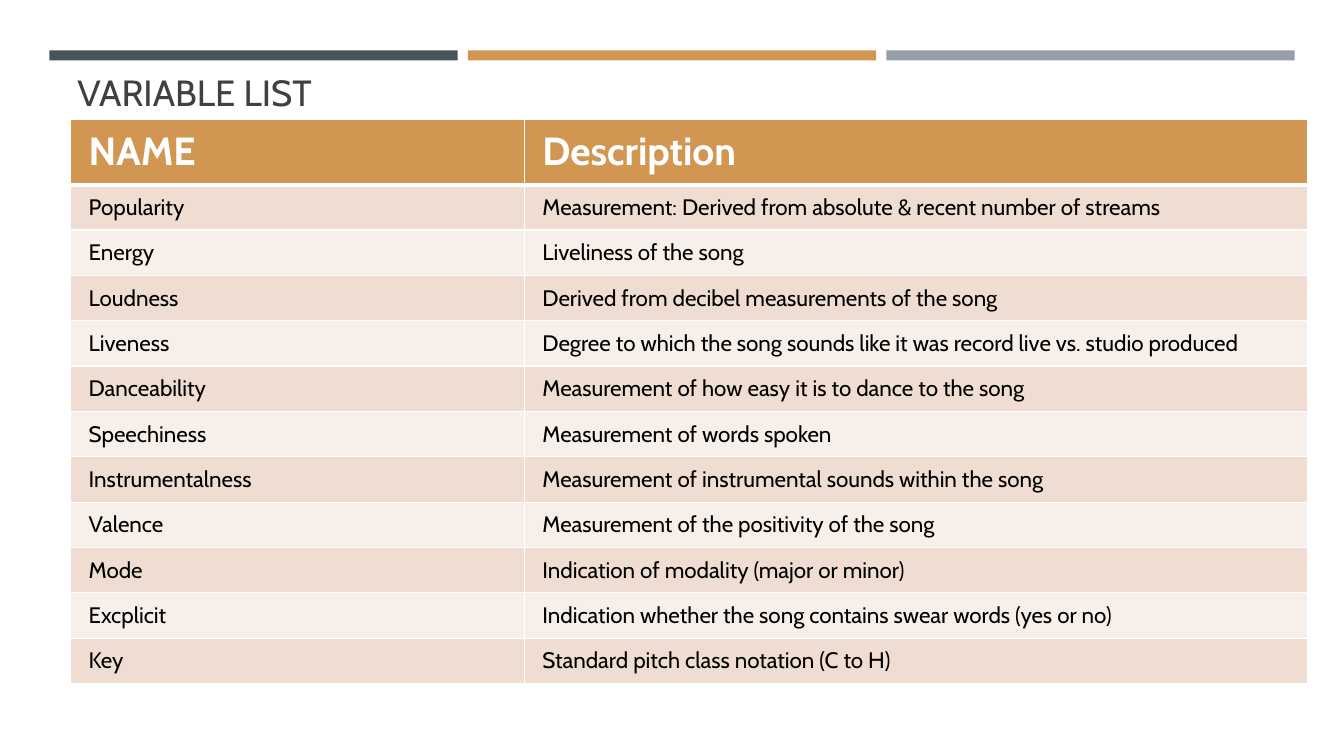
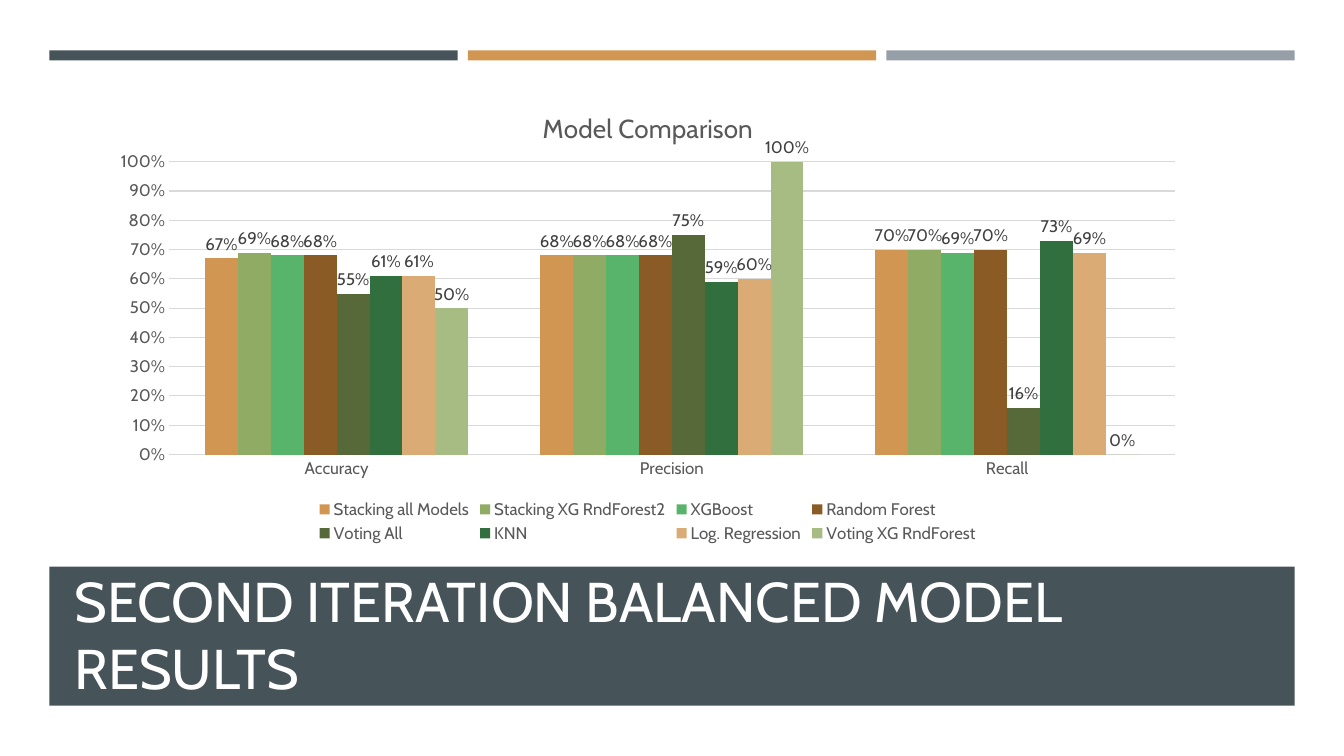
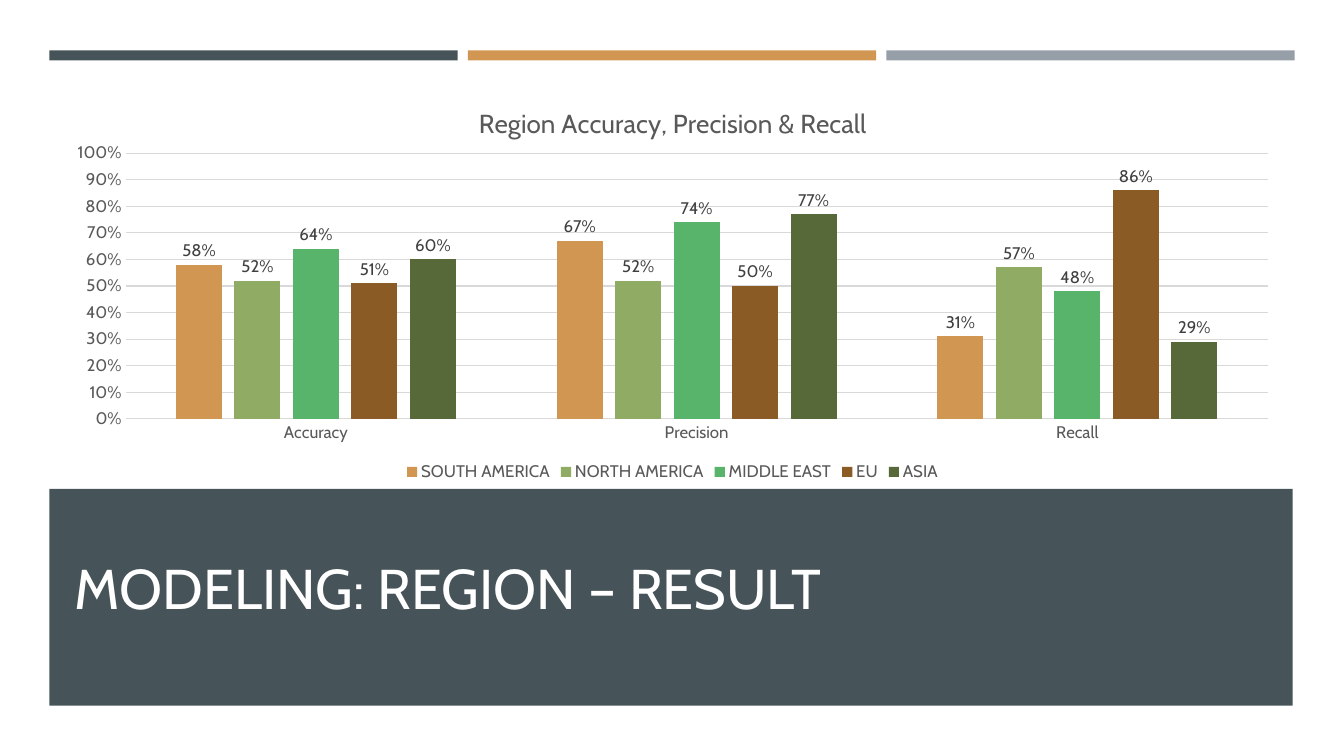
from pptx import Presentation, util as u
from pptx.chart.data import CategoryChartData
from pptx.dml.color import RGBColor
from pptx.enum import chart as ch, shapes, text as tx
from pptx.oxml import parse_xml
from pptx.oxml.ns import nsdecls, qn

Inches, Pt = u.Inches, u.Pt

# Shared look
FONT = "Cabin"
SLATE, ORANGE, SILVER, WHITE = "465359", "D19651", "969FA7", "FFFFFF"
AXIS_GRAY, LABEL_GRAY, GRID_GRAY = "595959", "404040", "D9D9D9"
ROW_FILLS = ("EEDDD0", "F7EFE9")
SERIES_COLORS = (ORANGE, "90AB63", "58B46B", "8A5B24",
                 "576939", "326F3E", "DAAB74", "A6BC82")
MARGIN = 0.49

# Content
VARIABLES = [
    ("NAME", "Description"),
    ("Popularity", "Measurement: Derived from absolute & recent number of streams"),
    ("Energy", "Liveliness of the song"),
    ("Loudness", "Derived from decibel measurements of the song"),
    ("Liveness", "Degree to which the song sounds like it was record live vs. studio produced"),
    ("Danceability", "Measurement of how easy it is to dance to the song"),
    ("Speechiness", "Measurement of words spoken"),
    ("Instrumentalness", "Measurement of instrumental sounds within the song"),
    ("Valence", "Measurement of the positivity of the song"),
    ("Mode", "Indication of modality (major or minor)"),
    ("Excplicit", "Indication whether the song contains swear words (yes or no)"),
    ("Key", "Standard pitch class notation (C to H)"),
]
METRICS = ("Accuracy", "Precision", "Recall")
# Boxes are left, top, width, height in inches; layouts are shares of the chart
RESULTS = [
    dict(
        heading="SECOND ITERATION BALANCED MODEL RESULTS",
        heading_box=(0.64, 5.76, 11.9, 1.05), anchor="MIDDLE",
        band=(MARGIN, 5.62, 12.35, 1.38),
        title="Model Comparison", chart_box=(0.98, 0.86, 10.89, 4.57),
        title_at=(0.4, 0.04), plot_at=(0.064, 0.163, 0.916, 0.636), overlap=0,
        series={
            "Stacking all Models": (0.67, 0.68, 0.7),
            "Stacking XG RndForest2": (0.69, 0.68, 0.7),
            "XGBoost": (0.68, 0.68, 0.69),
            "Random Forest": (0.68, 0.68, 0.7),
            "Voting All": (0.55, 0.75, 0.16),
            "KNN": (0.61, 0.59, 0.73),
            "Log. Regression": (0.61, 0.6, 0.69),
            "Voting XG RndForest": (0.5, 1, 0),
        }),
    dict(
        heading="MODELING: REGION – RESULT",
        heading_box=(0.64, 5.04, 12.02, 1.17), anchor="BOTTOM",
        band=(MARGIN, 4.85, 12.33, 2.15),
        title="Region Accuracy, Precision & Recall", chart_box=(0.52, 0.8, 12.3, 4.02),
        title_at=(0.34, 0.05), plot_at=(0.059, 0.179, 0.921, 0.656), overlap=-27,
        series={
            "SOUTH AMERICA": (0.58, 0.67, 0.31),
            "NORTH AMERICA": (0.52, 0.52, 0.57),
            "MIDDLE EAST": (0.64, 0.74, 0.48),
            "EU": (0.51, 0.5, 0.86),
            "ASIA": (0.6, 0.77, 0.29),
        }),
]


def rgb(value):
    return RGBColor.from_string(value)


def inches(box):
    return [Inches(v) for v in box]


def style(font, size, color, bold=False):
    font.name, font.size, font.bold = FONT, Pt(size), bold
    font.color.rgb = rgb(color)


def write(frame, words, size, color, bold=False, spacing=None):
    frame.word_wrap = True
    line = frame.paragraphs[0]
    line.line_spacing = spacing
    run = line.add_run()
    run.text = words
    style(run.font, size, color, bold)


def add_heading(slide, words, box, anchor, **fmt):
    frame = slide.shapes.add_textbox(*inches(box)).text_frame
    frame.vertical_anchor = tx.MSO_ANCHOR[anchor]
    write(frame, words, **fmt)


def add_block(slide, box, color):
    block = slide.shapes.add_shape(shapes.MSO_SHAPE.RECTANGLE, *inches(box))
    block.shadow.inherit = False
    block.fill.solid()
    block.fill.fore_color.rgb = rgb(color)
    block.line.fill.background()


def new_slide(deck):
    slide = deck.slides.add_slide(deck.slide_layouts[6])
    for i, color in enumerate((SLATE, ORANGE, SILVER)):
        add_block(slide, (MARGIN + i * 4.15, 0.5, 4.05, 0.1), color)
    return slide


def set_borders(cell, top, bottom):
    props = cell._tc.get_or_add_tcPr()
    for i, (side, width) in enumerate((("L", 1), ("R", 1), ("T", top), ("B", bottom))):
        props.insert(i, parse_xml(
            f'<a:ln{side} {nsdecls("a")} w="{Pt(width)}"><a:solidFill>'
            f'<a:srgbClr val="{WHITE}"/></a:solidFill></a:ln{side}>'))


def add_variable_table(slide, rows):
    heights = [0.65] + [0.45] * (len(rows) - 1)
    widths = (4.5, 7.77)
    table = slide.shapes.add_table(
        len(rows), 2, *inches((0.7, 1.18, sum(widths), sum(heights)))).table
    for column, width in zip(table.columns, widths):
        column.width = Inches(width)
    for r, row in enumerate(rows):
        table.rows[r].height = Inches(heights[r])
        header = r == 0
        for c, words in enumerate(row):
            cell = table.cell(r, c)
            cell.margin_left = cell.margin_right = Inches(0.18)
            cell.margin_top = cell.margin_bottom = Inches(0.09)
            cell.vertical_anchor = tx.MSO_ANCHOR.TOP if header else tx.MSO_ANCHOR.MIDDLE
            cell.fill.solid()
            cell.fill.fore_color.rgb = rgb(ORANGE if header else ROW_FILLS[(r - 1) % 2])
            set_borders(cell, top=3 if r == 1 else 1, bottom=3 if header else 1)
            write(cell.text_frame, words, 28 if header else 16,
                  WHITE if header else "000000", bold=header)


def place(part, index, position, inner=False):
    """Fix the position of a chart title or plot area."""
    old = part.find(qn("c:layout"))
    if old is not None:
        part.remove(old)
    target = '<c:layoutTarget val="inner"/>' if inner else ""
    modes = '<c:xMode val="edge"/><c:yMode val="edge"/>'
    values = "".join(f'<c:{k} val="{v}"/>' for k, v in zip("xywh", position))
    part.insert(index, parse_xml(
        f'<c:layout {nsdecls("c")}><c:manualLayout>{target}{modes}{values}'
        '</c:manualLayout></c:layout>'))


def add_score_chart(slide, result):
    data = CategoryChartData(number_format="0%")
    data.categories = METRICS
    for name, values in result["series"].items():
        data.add_series(name, values)
    chart = slide.shapes.add_chart(
        ch.XL_CHART_TYPE.COLUMN_CLUSTERED, *inches(result["chart_box"]), data).chart
    style(chart.font, 12, AXIS_GRAY)

    # Title and legend
    chart.has_title = True
    write(chart.chart_title.text_frame, result["title"], 18.6, AXIS_GRAY)
    chart.has_legend = True
    chart.legend.position = ch.XL_LEGEND_POSITION.BOTTOM
    chart.legend.include_in_layout = False
    style(chart.legend.font, 12, AXIS_GRAY)

    # Axes
    metric_axis, score_axis = chart.category_axis, chart.value_axis
    for axis in (metric_axis, score_axis):
        axis.major_tick_mark = axis.minor_tick_mark = ch.XL_TICK_MARK.NONE
        style(axis.tick_labels.font, 12, AXIS_GRAY)
    score_axis.minimum_scale, score_axis.maximum_scale = 0, 1
    score_axis.major_unit = 0.1
    score_axis.tick_labels.number_format = "0%"
    score_axis.tick_labels.number_format_is_linked = False
    score_axis.format.line.fill.background()
    for line in (metric_axis.format.line, score_axis.major_gridlines.format.line):
        line.color.rgb = rgb(GRID_GRAY)
        line.width = Pt(0.75)

    # Columns and their labels
    plot = chart.plots[0]
    plot.vary_by_categories = False
    plot.gap_width, plot.overlap = 219, result["overlap"]
    for series, color in zip(plot.series, SERIES_COLORS):
        series.format.fill.solid()
        series.format.fill.fore_color.rgb = rgb(color)
        labels = series.data_labels
        labels.show_value = True
        labels.position = ch.XL_LABEL_POSITION.OUTSIDE_END
        labels.number_format, labels.number_format_is_linked = "0%", False
        style(labels.font, 12, LABEL_GRAY)

    body = chart._chartSpace.find(qn("c:chart"))
    place(body.find(qn("c:title")), 1, result["title_at"])
    place(body.find(qn("c:plotArea")), 0, result["plot_at"], inner=True)


def main():
    deck = Presentation()
    deck.slide_width, deck.slide_height = Inches(13.33), Inches(7.5)

    # Variable list
    slide = new_slide(deck)
    add_variable_table(slide, VARIABLES)
    add_heading(slide, "VARIABLE LIST", (0.67, 0.77, 12.5, 0.41), "BOTTOM",
                size=26, color=LABEL_GRAY, spacing=0.9)

    # Model and region results
    for result in RESULTS:
        slide = new_slide(deck)
        add_block(slide, result["band"], SLATE)
        add_heading(slide, result["heading"], result["heading_box"],
                    result["anchor"], size=40, color=WHITE)
        add_score_chart(slide, result)

    deck.save("out.pptx")


if __name__ == "__main__":
    main()
